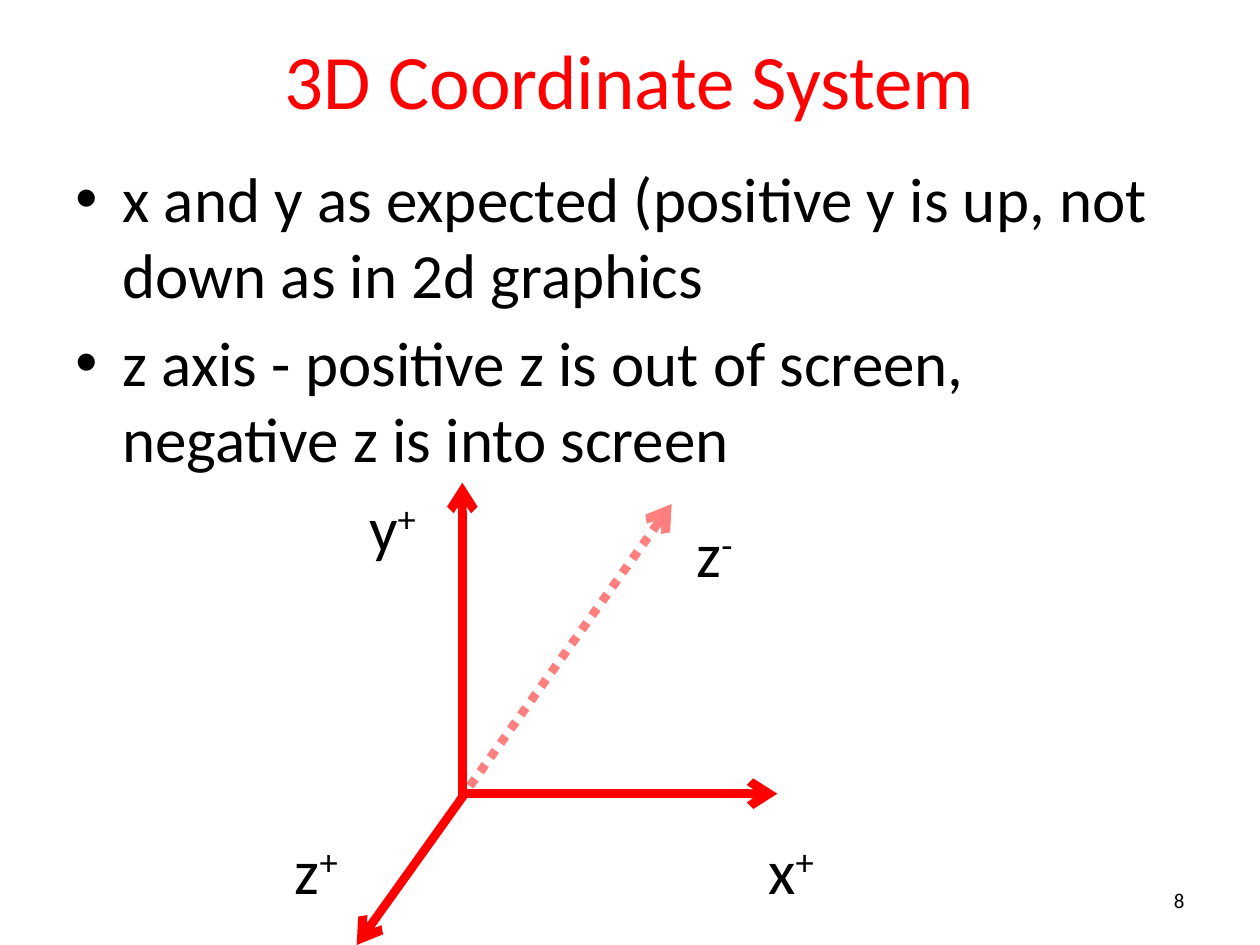
from lxml import etree
from pptx import Presentation
from pptx import util as u
from pptx.dml.color import RGBColor
from pptx.enum import dml, shapes, text
from pptx.oxml.ns import qn

RED = RGBColor(0xFF, 0x00, 0x00)
BLACK = RGBColor(0x00, 0x00, 0x00)
FONT = "Calibri"

BULLETS = [
    "x and y as expected (positive y is up, not down as in 2d graphics",
    "z axis - positive z is out of screen, negative z is into screen",
]
# Start and end of each axis in cm from the diagram corner, then dotted or not
AXES = [
    ((3.63, 6.35), (3.63, 0), False),
    ((3.63, 6.27), (9.98, 6.27), False),
    ((3.68, 6.27), (1.5, 9.32), False),
    ((3.58, 6.4), (7.85, 0.43), True),
]
# Letter, sign, left, top and width in cm from the diagram corner
LABELS = [
    ("y", "+", 1.5, 0, 1.52),
    ("x", "+", 9.55, 6.91, 1.52),
    ("z", "+", 0, 6.91, 1.45),
    ("z", "-", 8.1, 0.51, 1.3),
]


def add_box(page, left, top, width, height, anchor=text.MSO_ANCHOR.TOP, wrap=True):
    box = page.shapes.add_textbox(u.Cm(left), u.Cm(top), u.Cm(width), u.Cm(height))
    frame = box.text_frame
    frame.word_wrap = wrap
    frame.vertical_anchor = anchor
    return frame


def add_span(para, words, size, color=BLACK):
    span = para.add_run()
    span.text = words
    span.font.name = FONT
    span.font.size = u.Pt(size)
    span.font.color.rgb = color
    return span


def add_line_of_text(page, box, words, size, color, align):
    para = add_box(page, *box, anchor=text.MSO_ANCHOR.MIDDLE).paragraphs[0]
    para.alignment = align
    add_span(para, words, size, color)


def add_bullets(page, box, items):
    frame = add_box(page, *box)
    for index, item in enumerate(items):
        para = frame.paragraphs[0] if index == 0 else frame.add_paragraph()
        if index:
            para.space_before = u.Pt(7.2)
        props = para._p.get_or_add_pPr()
        props.set("marL", str(u.Cm(0.95)))
        props.set("indent", str(-u.Cm(0.95)))
        etree.SubElement(props, qn("a:buFont"), typeface="Arial")
        etree.SubElement(props, qn("a:buChar"), char="•")
        add_span(para, item, 36)


def add_axis(page, left, top, start, end, dotted):
    ends = [u.Cm(left + start[0]), u.Cm(top + start[1]),
            u.Cm(left + end[0]), u.Cm(top + end[1])]
    axis = page.shapes.add_connector(shapes.MSO_CONNECTOR.STRAIGHT, *ends)
    axis.line.width = u.Pt(5)
    axis.line.color.rgb = RED
    props = axis._element.spPr
    line = props.find(qn("a:ln"))
    if dotted:
        axis.line.dash_style = dml.MSO_LINE.ROUND_DOT
        line.find(qn("a:prstDash")).set("val", "sysDot")
        color = line.find(qn("a:solidFill")).find(qn("a:srgbClr"))
        etree.SubElement(color, qn("a:alpha"), val="49000")
    etree.SubElement(line, qn("a:tailEnd"), type="arrow")
    etree.SubElement(props, qn("a:effectLst"))


def add_diagram(page, left, top):
    for start, end, dotted in AXES:
        add_axis(page, left, top, start, end, dotted)
    for letter, sign, across, down, width in LABELS:
        frame = add_box(page, left + across, top + down, width, 1.8, wrap=False)
        frame.auto_size = text.MSO_AUTO_SIZE.SHAPE_TO_FIT_TEXT
        para = frame.paragraphs[0]
        add_span(para, letter, 36)
        add_span(para, sign, 36).font._element.set("baseline", "30000")


def main():
    deck = Presentation()
    deck.slide_width, deck.slide_height = u.Cm(25.4), u.Cm(19.05)
    page = deck.slides.add_slide(deck.slide_layouts[6])
    add_line_of_text(page, (1.27, 0, 22.86, 3.18), "3D Coordinate System",
                     44, RED, text.PP_ALIGN.CENTER)
    add_bullets(page, (1.27, 3.1, 22.86, 14.48), BULLETS)
    add_line_of_text(page, (18.2, 17.65, 5.93, 1.01), "8",
                     12, BLACK, text.PP_ALIGN.RIGHT)
    add_diagram(page, 5.69, 9.73)
    deck.save("out.pptx")


if __name__ == "__main__":
    main()
